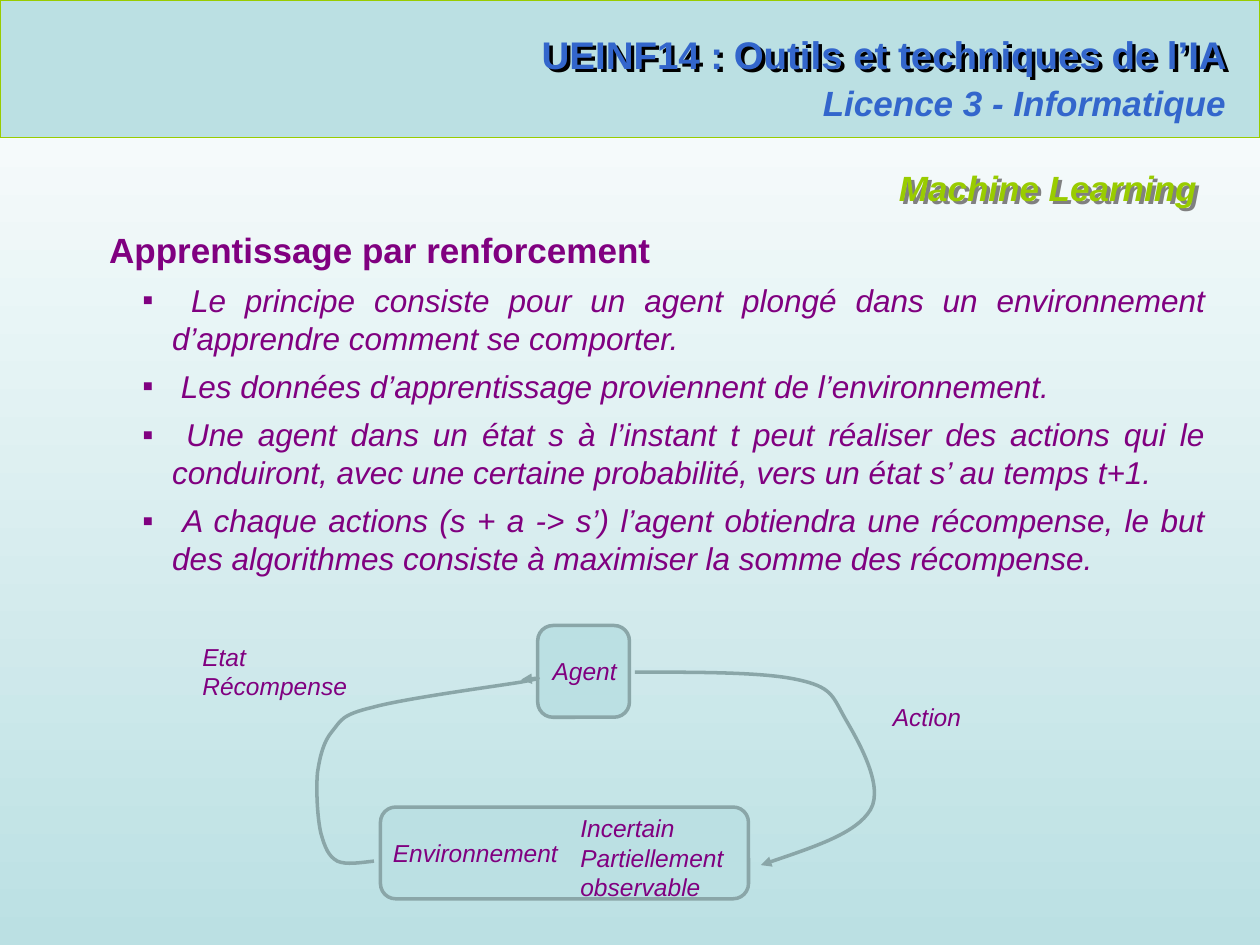
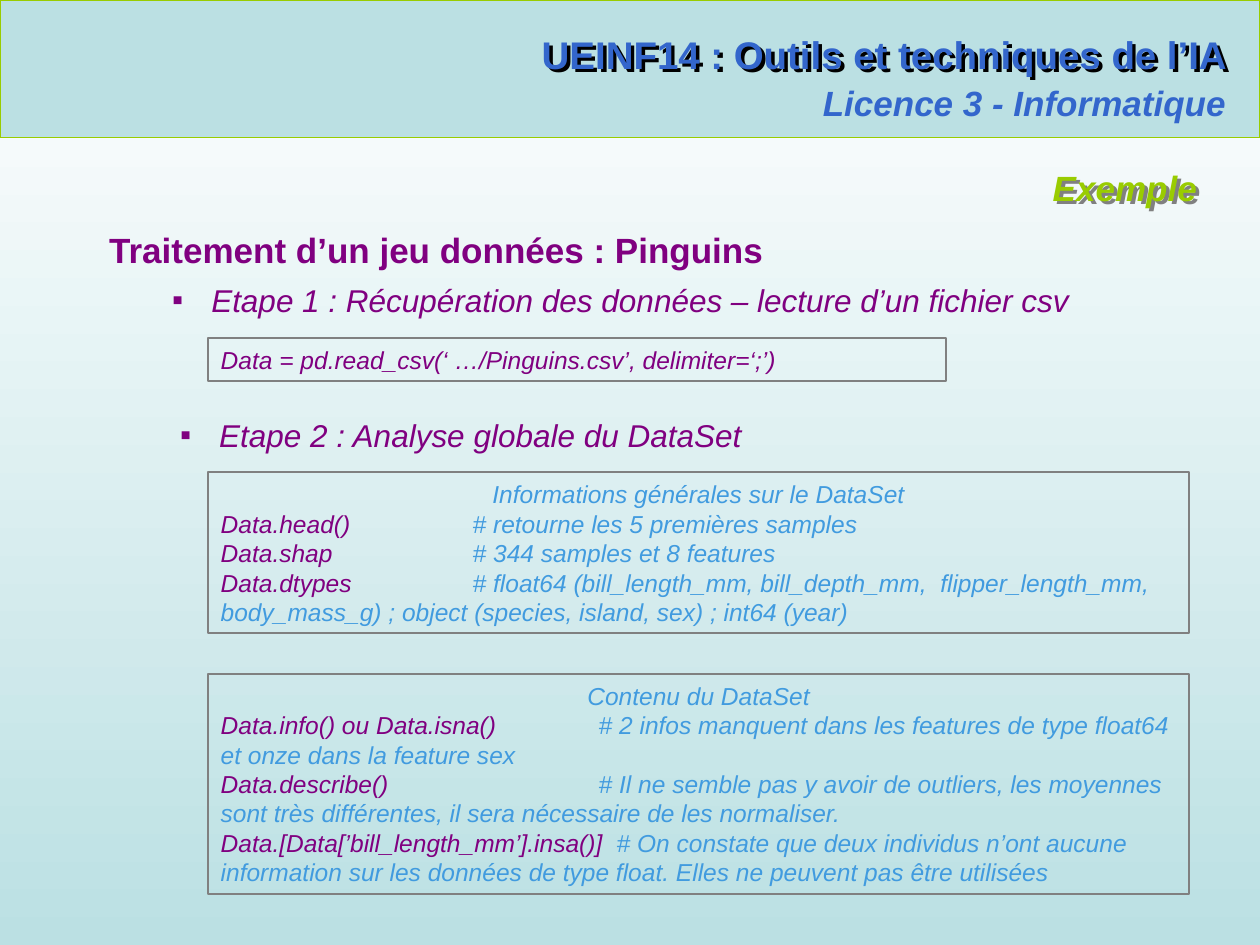
from pptx import Presentation
from pptx.dml.color import RGBColor
from pptx.enum.shapes import MSO_CONNECTOR, MSO_SHAPE
from pptx.enum.text import MSO_ANCHOR, PP_ALIGN
from pptx.oxml.ns import qn
from pptx.util import Cm, Pt
from lxml import etree

LEFT, CENTER = PP_ALIGN.LEFT, PP_ALIGN.CENTER
RIGHT, JUSTIFY = PP_ALIGN.RIGHT, PP_ALIGN.JUSTIFY
MIDDLE = MSO_ANCHOR.MIDDLE
RECTANGLE, ROUNDED = MSO_SHAPE.RECTANGLE, MSO_SHAPE.ROUNDED_RECTANGLE
STRAIGHT = MSO_CONNECTOR.STRAIGHT

WHITE = RGBColor(0xFF, 0xFF, 0xFF)
BLACK = RGBColor(0x00, 0x00, 0x00)
PALE_TEAL = RGBColor(0xBB, 0xE0, 0xE3)
TEAL_GRAY = RGBColor(0x8A, 0xA6, 0xA8)
GRAY = RGBColor(0x80, 0x80, 0x80)
GREEN = RGBColor(0x99, 0xCC, 0x00)
BLUE = RGBColor(0x33, 0x66, 0xCC)
LIGHT_BLUE = RGBColor(0x41, 0x9B, 0xDF)
PURPLE = RGBColor(0x80, 0x00, 0x80)

FONT = "Arial"
SLIDE_WIDTH, SLIDE_HEIGHT = 25.4, 19.05
BAND_HEIGHT = 2.77


# Shared helpers: all lengths are in centimetres
def style(paragraph, size, color, bold=False, italic=False, align=LEFT):
    paragraph.alignment = align
    font = paragraph.font
    font.name, font.size = FONT, Pt(size)
    font.bold, font.italic = bold, italic
    if color is not None:
        font.color.rgb = color


def add_text(slide, box, lines, size, color, wrap=False, **look):
    shape = slide.shapes.add_textbox(*map(Cm, box))
    frame = shape.text_frame
    frame.word_wrap = wrap
    frame.text = "\n".join(lines)
    for paragraph in frame.paragraphs:
        style(paragraph, size, color, **look)
    return shape


def add_box(slide, kind, box, fill, line, width):
    shape = slide.shapes.add_shape(kind, *map(Cm, box))
    shape.shadow.inherit = False
    if fill is None:
        shape.fill.background()
    else:
        shape.fill.solid()
        shape.fill.fore_color.rgb = fill
    shape.line.color.rgb = line
    shape.line.width = Pt(width)
    return shape


def add_text_shadow(shape, color):
    effects = etree.SubElement(shape.element.spPr, qn("a:effectLst"))
    shadow = etree.SubElement(effects, qn("a:outerShdw"), dist=str(Cm(0.1)), dir="2700000")
    etree.SubElement(shadow, qn("a:srgbClr"), val=str(color))


def add_bullet(paragraph, margin, hanging):
    properties = paragraph._p.get_or_add_pPr()
    properties.set("marL", str(Cm(margin)))
    properties.set("indent", str(-Cm(hanging)))
    etree.SubElement(properties, qn("a:buFont"), typeface=FONT)
    etree.SubElement(properties, qn("a:buChar"), char="▪")


def add_tab(paragraph, position):
    tabs = etree.SubElement(paragraph._p.get_or_add_pPr(), qn("a:tabLst"))
    etree.SubElement(tabs, qn("a:tab"), pos=str(Cm(position)), algn="l")


# Background, header band and section name
def add_base_slide(presentation, section):
    slide = presentation.slides.add_slide(presentation.slide_layouts[6])
    fill = slide.background.fill
    fill.gradient()
    fill.gradient_angle = 270
    for stop, color in zip(fill.gradient_stops, (WHITE, PALE_TEAL)):
        stop.color.rgb = color

    add_box(slide, RECTANGLE, (0, 0, SLIDE_WIDTH, BAND_HEIGHT), PALE_TEAL, GREEN, 0.75)
    title = add_text(slide, (10.26, 0.5, 14.73, 1.2),
                     [" UEINF14 : Outils et techniques de l’IA"],
                     22, BLUE, bold=True, align=RIGHT)
    add_text_shadow(title, BLACK)
    add_text(slide, (16.28, 1.51, 8.69, 1.12), ["Licence 3 - Informatique"],
             20, BLUE, bold=True, italic=True, align=RIGHT)
    rule = slide.shapes.add_connector(
        STRAIGHT, *map(Cm, (0.86, BAND_HEIGHT, 24.79, BAND_HEIGHT)))
    rule.line.color.rgb = GREEN
    rule.line.width = Pt(0.75)
    etree.SubElement(rule.element.spPr, qn("a:effectLst"))

    heading = add_text(slide, (5.51, 3.23, 18.87, 1.12), [section], 20, GREEN,
                       wrap=True, bold=True, italic=True, align=RIGHT)
    add_text_shadow(heading, GRAY)
    return slide


# Heading (optional) followed by bulleted points
def add_points(slide, box, heading, points, margin, hanging):
    lines = ([heading] if heading else []) + points
    frame = add_text(slide, box, lines, 20, PURPLE, wrap=True, bold=True,
                     align=JUSTIFY).text_frame
    for paragraph in frame.paragraphs[-len(points):]:
        paragraph._p.remove(paragraph._p.pPr)
        add_bullet(paragraph, margin, hanging)
        style(paragraph, 18, PURPLE, italic=True, align=JUSTIFY)
    for paragraph in frame.paragraphs:
        paragraph.space_after = Pt(6)


# Smooth arrow through cubic segments: start, then (control, control, end) repeated
def add_curved_arrow(slide, left, top, points):
    vertices = [(Cm(left + x), Cm(top + y)) for x, y in points]
    builder = slide.shapes.build_freeform(*vertices[0])
    builder.add_line_segments(vertices[1:], close=False)
    arrow = builder.convert_to_shape()
    straight_steps = list(arrow.element.iter(qn("a:lnTo")))
    outline = straight_steps[0].getparent()
    for index in range(0, len(straight_steps), 3):
        curve = etree.SubElement(outline, qn("a:cubicBezTo"))
        for step in straight_steps[index:index + 3]:
            curve.append(step[0])
            outline.remove(step)
    arrow.shadow.inherit = False
    arrow.fill.background()
    arrow.line.color.rgb = TEAL_GRAY
    arrow.line.width = Pt(2)
    etree.SubElement(arrow.line._get_or_add_ln(), qn("a:tailEnd"), type="triangle")


# Loop between the agent and its environment
def add_agent_loop(slide, left, top):
    for x, y, width in ((7.01, 0, 1.85), (3.84, 3.66, 7.42)):
        add_box(slide, ROUNDED, (left + x, top + y, width, 1.85), PALE_TEAL, TEAL_GRAY, 2)

    labels = [(["Agent"], 7.06, 0.5, 1.8, 0.86),
              (["Environnement"], 3.84, 4.16, 3.86, 0.86),
              (["Incertain", "Partiellement", "observable"], 7.62, 3.66, 3.56, 2.06),
              (["Etat", "Récompense"], 0, 0.2, 3.45, 1.45),
              (["Action"], 13.92, 1.42, 1.9, 0.86)]
    for lines, x, y, width, height in labels:
        add_text(slide, (left + x, top + y, width, height), lines, 14, PURPLE, italic=True)

    reward_curve = [
        (3.71, 4.75), (3.43, 4.78), (3.15, 4.83), (2.97, 4.75),
        (2.79, 4.65), (2.72, 4.47), (2.64, 4.19),
        (2.57, 3.89), (2.54, 3.33), (2.57, 2.97),
        (2.62, 2.64), (2.69, 2.34), (2.87, 2.13),
        (3.05, 1.91), (3.05, 1.8), (3.68, 1.65),
        (4.32, 1.47), (6.2, 1.22), (6.68, 1.14),
        (7.19, 1.04), (6.93, 1.07), (6.68, 1.09)]
    action_curve = [
        (8.97, 0.94), (10.26, 0.94), (11.56, 0.94), (12.24, 1.09),
        (12.95, 1.24), (12.95, 1.42), (13.21, 1.88),
        (13.46, 2.31), (14, 3.23), (13.72, 3.71),
        (13.44, 4.19), (12.47, 4.5), (11.51, 4.83)]
    for curve in (reward_curve, action_curve):
        add_curved_arrow(slide, left, top, curve)


# Framed code: optional centred title, then (code, comment) rows
def add_code_box(slide, box, rows, title=None, tab=5.08):
    frame = add_box(slide, RECTANGLE, box, None, GRAY, 1.25).text_frame
    frame.word_wrap = True
    frame.vertical_anchor = MIDDLE
    paragraph = frame.paragraphs[0]
    if title:
        paragraph.text = title
        style(paragraph, 14, LIGHT_BLUE, italic=True, align=CENTER)
    for index, row in enumerate(rows):
        if title or index:
            paragraph = frame.add_paragraph()
        add_tab(paragraph, tab)
        style(paragraph, 14, None, italic=True)
        for text, color in zip(row, (PURPLE, LIGHT_BLUE)):
            run = paragraph.add_run()
            run.text = text
            run.font.color.rgb = color


def add_reinforcement_slide(presentation):
    slide = add_base_slide(presentation, "Machine Learning")
    add_points(slide, (1.95, 4.48, 22.6, 7.34), "Apprentissage par renforcement", [
        " Le principe consiste pour un agent plongé dans un environnement "
        "d’apprendre comment se comporter.",
        " Les données d’apprentissage proviennent de l’environnement.",
        " Une agent dans un état s à l’instant t peut réaliser des actions qui le "
        "conduiront, avec une certaine probabilité, vers un état s’ au temps t+1.",
        " A chaque actions (s + a -> s’) l’agent obtiendra une récompense, le but "
        "des algorithmes consiste à maximiser la somme des récompense.",
    ], margin=1.27, hanging=0.6)
    add_agent_loop(slide, 3.83, 12.61)


def add_example_slide(presentation):
    slide = add_base_slide(presentation, "Exemple")
    add_points(slide, (1.95, 4.48, 22.6, 3.07), "Traitement d’un jeu données : Pinguins",
               ["Etape 1 : Récupération des données – lecture d’un fichier csv"],
               margin=2.06, hanging=0.79)
    add_code_box(slide, (4.2, 6.82, 14.88, 0.86),
                 [("Data = pd.read_csv(‘ …/Pinguins.csv’, delimiter=‘;’)",)])

    add_code_box(slide, (4.2, 13.58, 19.77, 4.44), [
        ("Data.info() ou Data.isna()\t", "# 2 infos manquent dans les features de type "
         "float64 et onze dans la feature sex"),
        ("Data.describe()\t", "# Il ne semble pas y avoir de outliers, les moyennes sont "
         "très différentes, il sera nécessaire de les normaliser."),
        ("Data.[Data[’bill_length_mm’].insa()]  ", "# On constate que deux individus n’ont "
         "aucune information sur les données de type float. Elles ne peuvent pas être "
         "utilisées"),
    ], title="Contenu du DataSet", tab=7.62)
    add_code_box(slide, (4.2, 9.52, 19.77, 3.25), [
        ("Data.head()\t", "# retourne les 5 premières samples"),
        ("Data.shap\t", "# 344 samples et 8 features"),
        ("Data.dtypes\t", "# float64 (bill_length_mm, bill_depth_mm,  flipper_length_mm, "
         "body_mass_g) ; object (species, island, sex) ; int64 (year)"),
    ], title="Informations générales sur le DataSet")
    add_points(slide, (0.84, 8.26, 22.6, 1.02), None,
               ["Etape 2 : Analyse globale du DataSet"], margin=3.33, hanging=0.79)


def main():
    presentation = Presentation()
    presentation.slide_width = Cm(SLIDE_WIDTH)
    presentation.slide_height = Cm(SLIDE_HEIGHT)
    add_reinforcement_slide(presentation)
    add_example_slide(presentation)
    presentation.save("out.pptx")


if __name__ == "__main__":
    main()
